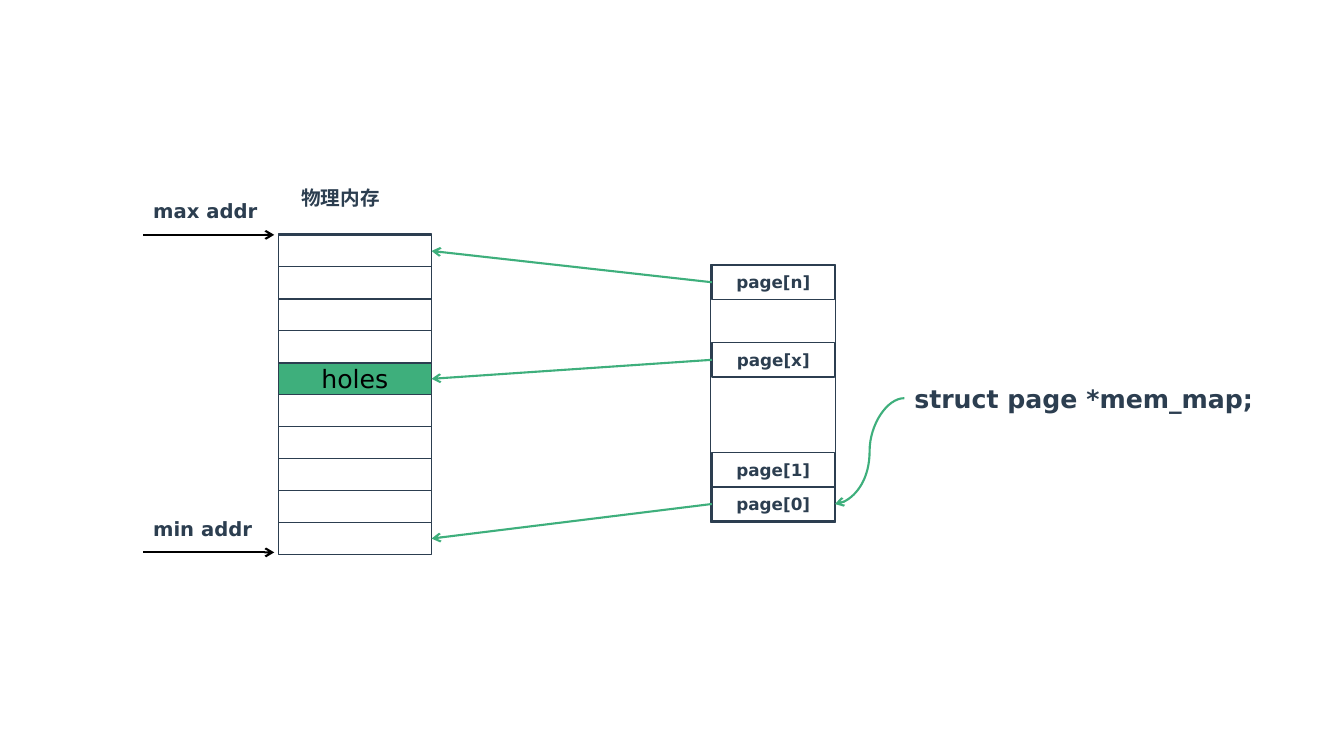
import pptx
import pptx.util
import pptx.dml.color
import pptx.enum.shapes
import pptx.enum.text
import pptx.oxml.ns
from lxml import etree

Inches = pptx.util.Inches
COLORS = {"paper": "FFFFFF", "ink": "2C3E50", "green": "3EAF7C", "black": "000000"}
FONT = "DejaVu Sans"
ROW_COUNT, HOLE_ROW, GAP_ROW = 10, 4, 2
PAGE_OFFSETS = {"page[n]": 0, "page[x]": 0.77, "page[1]": 1.86, "page[0]": 2.2}
PAGE_HEIGHT = 0.34


def rgb(name):
    return pptx.dml.color.RGBColor.from_string(COLORS[name])


def write(frame, text, size=14, color="ink", bold=True, align=None):
    paragraph = frame.paragraphs[0]
    paragraph.alignment = align
    run = paragraph.add_run()
    run.text = text
    run.font.name = FONT
    run.font.size = pptx.util.Pt(size)
    run.font.bold = bold
    run.font.color.rgb = rgb(color)


def add_label(slide, text, left, top, width, height=0.34, wrap=True, **style):
    label = slide.shapes.add_textbox(*map(Inches, (left, top, width, height)))
    label.text_frame.word_wrap = wrap
    label.text_frame.auto_size = pptx.enum.text.MSO_AUTO_SIZE.SHAPE_TO_FIT_TEXT
    write(label.text_frame, text, **style)


def add_cell(slide, left, top, width, height, text="", fill="paper", **style):
    cell = slide.shapes.add_shape(
        pptx.enum.shapes.MSO_SHAPE.RECTANGLE, *map(Inches, (left, top, width, height)))
    cell.shadow.inherit = False
    cell.fill.solid()
    cell.fill.fore_color.rgb = rgb(fill)
    cell.line.color.rgb = rgb("ink")
    cell.line.width = pptx.util.Pt(1)
    if text:
        cell.text_frame.vertical_anchor = pptx.enum.text.MSO_ANCHOR.MIDDLE
        write(cell.text_frame, text, align=pptx.enum.text.PP_ALIGN.CENTER, **style)
    return cell


def add_arrow(slide, start, end, color, curved=False):
    kinds = pptx.enum.shapes.MSO_CONNECTOR
    arrow = slide.shapes.add_connector(
        kinds.CURVE if curved else kinds.STRAIGHT, *map(Inches, (*start, *end)))
    arrow.line.color.rgb = rgb(color)
    arrow.line.width = pptx.util.Pt(1.5)
    etree.SubElement(arrow.line._get_or_add_ln(), pptx.oxml.ns.qn("a:tailEnd"), type="arrow")
    etree.SubElement(arrow._element.spPr, pptx.oxml.ns.qn("a:effectLst"))
    return arrow


def draw_memory(slide, left, top, width, height):
    add_cell(slide, left, top, width, height)
    add_label(slide, "物理内存", left + 0.13, top - 0.52, 1.26)
    pitch = height / ROW_COUNT
    rows = {}
    for row in [HOLE_ROW] + [r for r in range(ROW_COUNT) if r not in (HOLE_ROW, GAP_ROW)]:
        hole = {"text": "holes", "fill": "green", "size": 18, "color": "black",
                "bold": False} if row == HOLE_ROW else {}
        rows[row] = add_cell(slide, left, top + 0.01 + row * pitch, width, 0.32, **hole)
    return rows


def draw_addresses(slide, left, top, width, height):
    for text, arrow_y, rise in (("max addr", top, 0.41), ("min addr", top + height, 0.4)):
        add_label(slide, text, left, arrow_y - rise, 1.4, wrap=False)
        add_arrow(slide, (left, arrow_y), (left + width, arrow_y), "black")


def draw_pages(slide, left, top, width, height):
    add_cell(slide, left, top, width, height)
    return {name: add_cell(slide, left + 0.01, top + offset, width - 0.02, PAGE_HEIGHT,
                           text=name, size=12)
            for name, offset in PAGE_OFFSETS.items()}


def draw_mem_map(slide, left, top, width, height, target):
    add_label(slide, "struct page *mem_map;", left, top, width, height, wrap=False, size=18)
    add_arrow(slide, (left, top + height / 2), target, "green", curved=True)


def link_pages(slide, pages, rows):
    for name, row in (("page[0]", 9), ("page[n]", 0), ("page[x]", HOLE_ROW)):
        arrow = add_arrow(slide, (7.06, 0), (4.28, 0), "green")
        arrow.begin_connect(pages[name], 1)
        arrow.end_connect(rows[row], 3)


def main():
    deck = pptx.Presentation()
    deck.slide_width, deck.slide_height = Inches(13.33), Inches(7.5)
    slide = deck.slides.add_slide(deck.slide_layouts[6])
    rows = draw_memory(slide, 2.76, 2.32, 1.52, 3.17)
    draw_addresses(slide, 1.42, 2.33, 1.3, 3.15)
    pages = draw_pages(slide, 7.05, 2.63, 1.24, 2.55)
    draw_mem_map(slide, 8.97, 3.75, 3.56, 0.4, (8.28, 5))
    link_pages(slide, pages, rows)
    deck.save("out.pptx")


if __name__ == "__main__":
    main()
